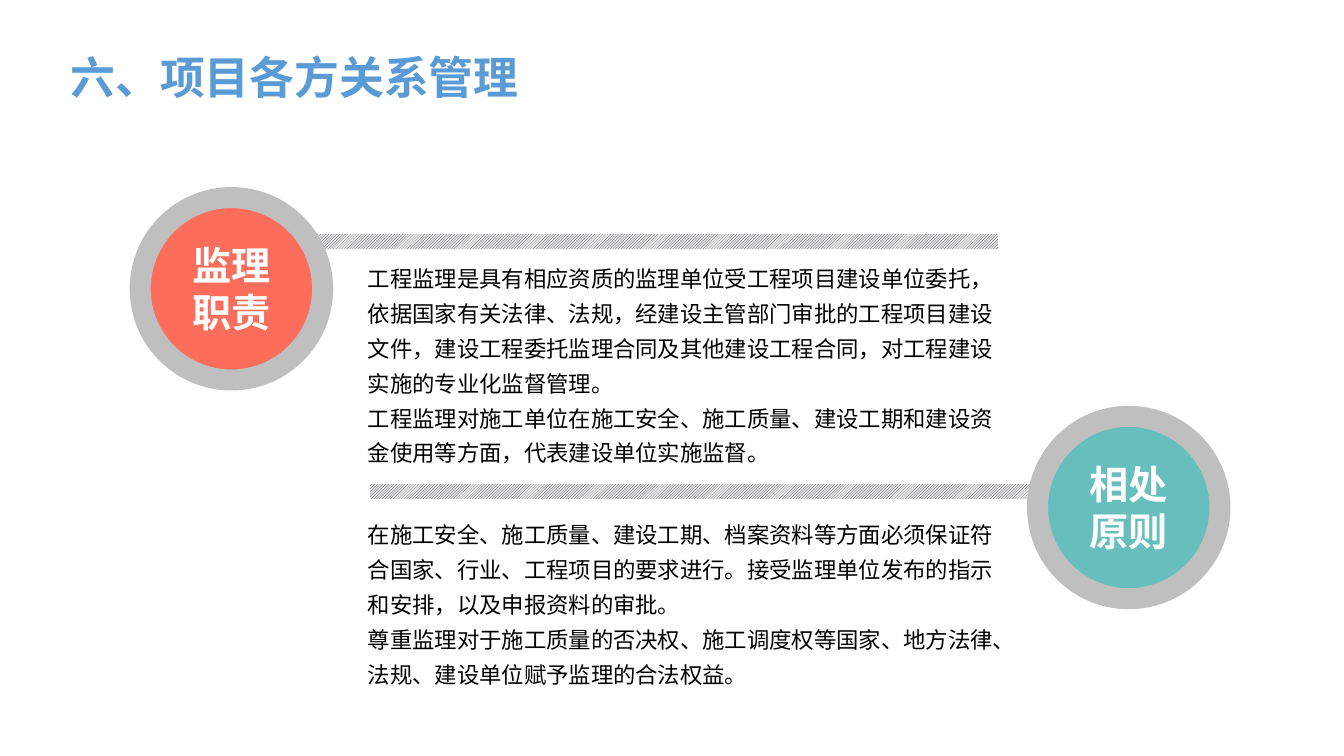
from lxml.etree import SubElement as Sub
from pptx import Presentation
from pptx.dml.color import RGBColor as RGB
from pptx.enum.dml import MSO_PATTERN as Pat
from pptx.enum.shapes import MSO_SHAPE as Kind
from pptx.enum.text import MSO_ANCHOR as Anchor, MSO_AUTO_SIZE as Auto, PP_ALIGN as Align
from pptx.oxml.ns import qn
from pptx.util import Inches, Pt

HUES = {
    "title": "5B9BD5", "body": "000000", "white": "FFFFFF",
    "ring": "BFBFBF", "coral": "FC6E5B", "teal": "66BFBC",
    "hatch": "414455", "pale": "E8E8E6",
}


def hue(name):
    return RGB.from_string(HUES[name])


def write(frame, text, size=16, color="body", bold=False, align=Align.LEFT,
          space=None, font="Noto Sans CJK SC"):
    frame.word_wrap = True
    for i, line in enumerate(text.split("\n")):
        para = frame.add_paragraph() if i else frame.paragraphs[0]
        para.alignment = align
        para.line_spacing = space
        run = para.add_run()
        run.text = line
        face = run.font
        face.size, face.bold = Pt(size), bold
        face.color.rgb = hue(color)
        face.name = font
        Sub(run._r.get_or_add_rPr(), qn("a:ea")).set("typeface", font)


class Deck:
    """Holds the style and the current slide."""

    def __init__(self, wide, high):
        self.show = Presentation()
        self.show.slide_width = Inches(wide)
        self.show.slide_height = Inches(high)
        self.slide = self.show.slides.add_slide(self.show.slide_layouts[6])

    def shape(self, kind, *box):
        item = self.slide.shapes.add_shape(kind, *map(Inches, box))
        item.shadow.inherit = False
        return item

    def band(self, left, top):
        bar = self.shape(Kind.RECTANGLE, left, top, 6.85, 0.15)
        bar.fill.patterned()
        bar.fill.pattern = Pat.LIGHT_UPWARD_DIAGONAL
        bar.fill.fore_color.rgb = hue("hatch")
        bar.fill.back_color.rgb = hue("pale")
        bar.line.fill.background()

    def badge(self, left, top, color, text):
        disc = self.shape(Kind.OVAL, left, top, 1.81, 1.81)
        disc.fill.solid()
        disc.fill.fore_color.rgb = hue(color)
        disc.line.color.rgb = hue("ring")
        disc.line.width = Pt(15)
        disc.text_frame.vertical_anchor = Anchor.MIDDLE
        write(disc.text_frame, text, size=28, color="white", bold=True, align=Align.CENTER)

    def text(self, box, text, **style):
        frame = self.slide.shapes.add_textbox(*map(Inches, box)).text_frame
        write(frame, text, **style)
        frame.auto_size = Auto.SHAPE_TO_FIT_TEXT


DUTY = """工程监理是具有相应资质的监理单位受工程项目建设单位委托，依据国家有关法律、法规，经建设主管部门审批的工程项目建设文件，建设工程委托监理合同及其他建设工程合同，对工程建设实施的专业化监督管理。
工程监理对施工单位在施工安全、施工质量、建设工期和建设资金使用等方面，代表建设单位实施监督。"""
RULES = """在施工安全、施工质量、建设工期、档案资料等方面必须保证符合国家、行业、工程项目的要求进行。接受监理单位发布的指示和安排，以及申报资料的审批。
尊重监理对于施工质量的否决权、施工调度权等国家、地方法律、法规、建设单位赋予监理的合法权益。"""


def main():
    deck = Deck(13.33, 7.5)
    deck.band(3.67, 4.8)
    deck.band(3.05, 2.32)
    deck.badge(1.39, 1.96, "coral", "监理职责")
    deck.text((3.55, 2.5, 6.46, 2.2), DUTY, space=1.3)
    deck.badge(10.29, 4.13, "teal", "相处原则")
    deck.text((3.55, 5.04, 6.46, 1.85), RULES, space=1.3)
    deck.text((0.6, 0.44, 4.9, 0.64), "六、项目各方关系管理", size=32, color="title", bold=True)
    deck.show.save("out.pptx")


if __name__ == "__main__":
    main()
